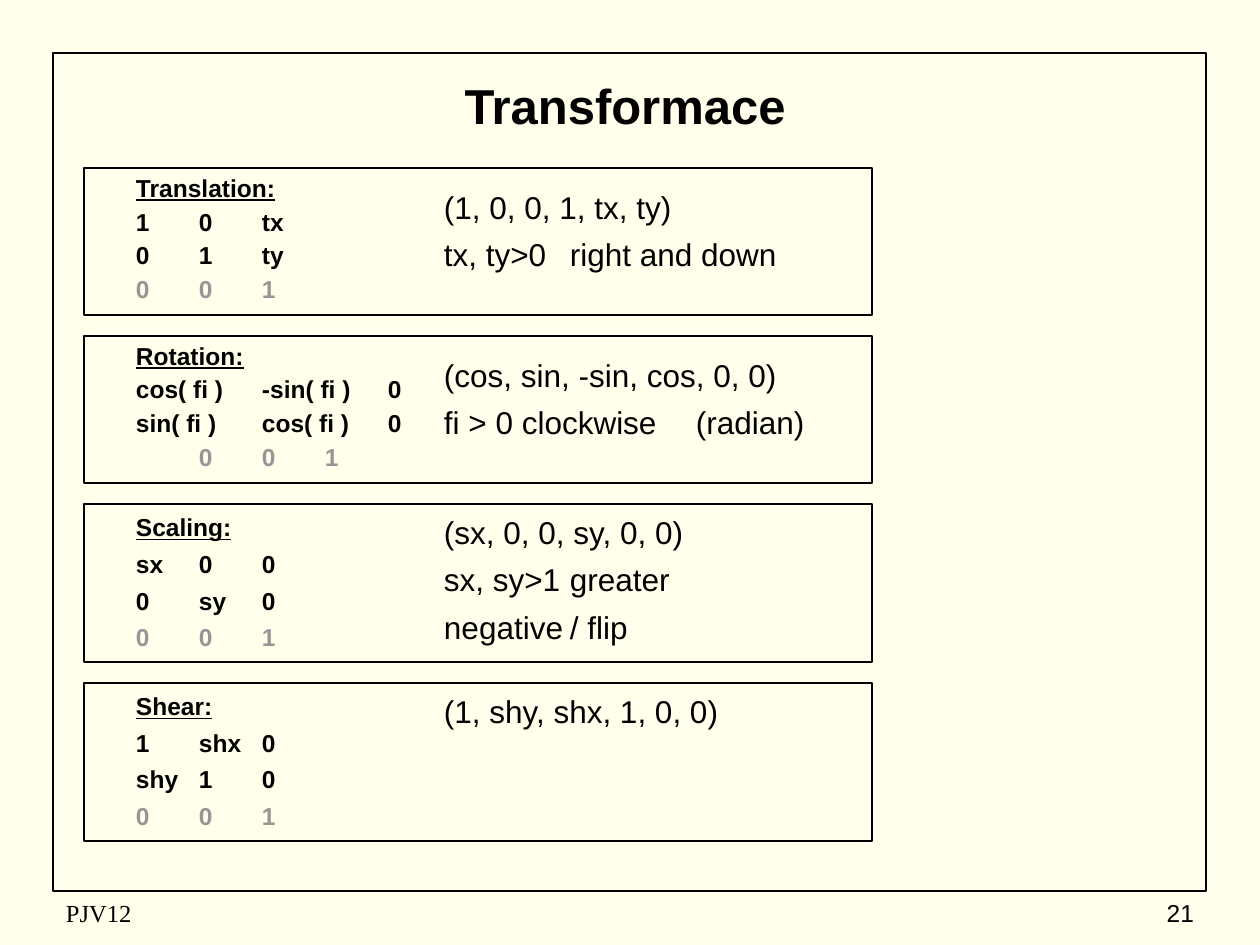
from pptx import Presentation
from pptx import util as u
from pptx.dml.color import RGBColor
from pptx.enum import shapes, text
from pptx.oxml.ns import qn
from lxml import etree

PX = 914400 // 126
COLORS = {"paper": "FFFFEB", "ink": "000000", "muted": "969696"}

# Matrix columns end at right tab stops; note gaps use one left tab stop.
SECTIONS = [
    {"name": "Translation:", "height": 147, "spacing": 0.9, "stops": (75, 144),
     "rows": ["1\t0\ttx", "0\t1\tty", "0\t0\t1"],
     "note_offset": 11, "note_height": 116, "note_stop": 120,
     "notes": ["(1, 0, 0, 1, tx, ty)", "tx, ty>0\tright and down"]},
    {"name": "Rotation:", "height": 147, "spacing": 0.9, "stops": (68, 203, 244),
     "rows": ["cos( fi )\t-sin( fi )\t0", "sin( fi )\tcos( fi )\t0", "\t0\t0\t1"],
     "note_offset": 11, "note_height": 116, "note_stop": 239,
     "notes": ["(cos, sin, -sin, cos, 0, 0)", "fi > 0 clockwise\t(radian)"]},
    {"name": "Scaling:", "height": 158, "spacing": 1.0, "stops": (81, 143),
     "rows": ["sx\t0\t0", "0\tsy\t0", "0\t0\t1"],
     "note_offset": 0, "note_height": 147, "note_stop": 135,
     "notes": ["(sx, 0, 0, sy, 0, 0)", "sx, sy>1\tgreater", "negative\t/ flip"]},
    {"name": "Shear:", "height": 158, "spacing": 1.0, "stops": (89, 144),
     "rows": ["1\tshx\t0", "shy\t1\t0", "0\t0\t1"],
     "note_offset": 0, "note_height": 147, "note_stop": 120,
     "notes": ["(1, shy, shx, 1, 0, 0)"]},
]
FIRST_TOP, GAP = 168, 21
BOX_LEFT, BOX_WIDTH = 84, 788
NOTE_LEFT, NOTE_WIDTH = 431, 399


def rgb(name):
    return RGBColor.from_string(COLORS[name])


def place(sp, left, top, width, height):
    sp.left, sp.top, sp.width, sp.height = (v * PX for v in (left, top, width, height))


def set_frame(tf, left=13, top=6, anchor=text.MSO_ANCHOR.TOP):
    tf.word_wrap = True
    tf.auto_size = text.MSO_AUTO_SIZE.NONE
    tf.vertical_anchor = anchor
    tf.margin_left, tf.margin_top = left * PX, top * PX
    tf.margin_right, tf.margin_bottom = 13 * PX, 6 * PX


def set_layout(p, stops, align):
    """Remove bullet and indent, and add tab stops given in px."""
    pPr = p._p.get_or_add_pPr()
    pPr.set("marL", "0")
    pPr.set("indent", "0")
    etree.SubElement(pPr, qn("a:buNone"))
    tabs = etree.SubElement(pPr, qn("a:tabLst"))
    for stop in stops:
        etree.SubElement(tabs, qn("a:tab"), pos=str(stop * PX), algn=align)


def style(p, size, color="ink", font="Arial", bold=False, underline=False):
    for r in p.runs:
        r.font.size, r.font.name = u.Pt(size), font
        r.font.bold, r.font.underline = bold, underline
        r.font.color.rgb = rgb(color)


def add_rect(s, left, top, width, height, line):
    sp = s.shapes.add_shape(shapes.MSO_SHAPE.RECTANGLE, 0, 0, 0, 0)
    place(sp, left, top, width, height)
    sp.shadow.inherit = False
    sp.fill.background()
    sp.line.color.rgb = rgb("ink")
    sp.line.width = u.Pt(line)
    return sp


def add_matrix(s, section, top):
    sp = add_rect(s, BOX_LEFT, top, BOX_WIDTH, section["height"], 0.75)
    tf = sp.text_frame
    set_frame(tf, left=52, top=8)
    tf.text = "\n".join([section["name"], *section["rows"]])
    last = len(tf.paragraphs) - 1
    for i, p in enumerate(tf.paragraphs):
        set_layout(p, section["stops"], "r")
        p.alignment = text.PP_ALIGN.LEFT
        p.line_spacing = section["spacing"]
        p.space_before = u.Pt(4.2 if i else 0)
        style(p, 14, "muted" if i == last else "ink", bold=True, underline=i == 0)


def fill_notes(sp, section, top):
    place(sp, NOTE_LEFT, top + section["note_offset"], NOTE_WIDTH, section["note_height"])
    tf = sp.text_frame
    set_frame(tf, top=9)
    tf.text = "\n".join(section["notes"])
    for i, p in enumerate(tf.paragraphs):
        set_layout(p, [section["note_stop"]], "l")
        p.space_before = u.Pt(5.4 if i else 0)
        style(p, 18)


def add_footer(s, label, left, width, font, align):
    sp = s.shapes.add_textbox(0, 0, 0, 0)
    place(sp, left, 892, width, 42)
    tf = sp.text_frame
    set_frame(tf, anchor=text.MSO_ANCHOR.MIDDLE)
    tf.text = label
    tf.paragraphs[0].alignment = align
    style(tf.paragraphs[0], 14, font=font)


def main():
    prs = Presentation()
    prs.slide_width, prs.slide_height = u.Inches(10), u.Inches(7.5)
    s = prs.slides.add_slide(prs.slide_layouts[1])
    s.background.fill.solid()
    s.background.fill.fore_color.rgb = rgb("paper")
    add_rect(s, 53, 53, 1153, 838, 1)

    title = s.shapes.title
    place(title, 63, 63, 1124, 84)
    set_frame(title.text_frame, anchor=text.MSO_ANCHOR.MIDDLE)
    title.text_frame.text = "Transformace"
    title.text_frame.paragraphs[0].alignment = text.PP_ALIGN.CENTER
    style(title.text_frame.paragraphs[0], 28, bold=True)

    top = FIRST_TOP
    for i, section in enumerate(SECTIONS):
        add_matrix(s, section, top)
        notes = s.shapes.add_textbox(0, 0, 0, 0) if i else s.placeholders[1]
        fill_notes(notes, section, top)
        top += section["height"] + GAP

    add_footer(s, "PJV12", 53, 399, "Times New Roman", text.PP_ALIGN.LEFT)
    add_footer(s, "21", 945, 262, "Arial", text.PP_ALIGN.RIGHT)
    prs.save("out.pptx")


if __name__ == "__main__":
    main()
